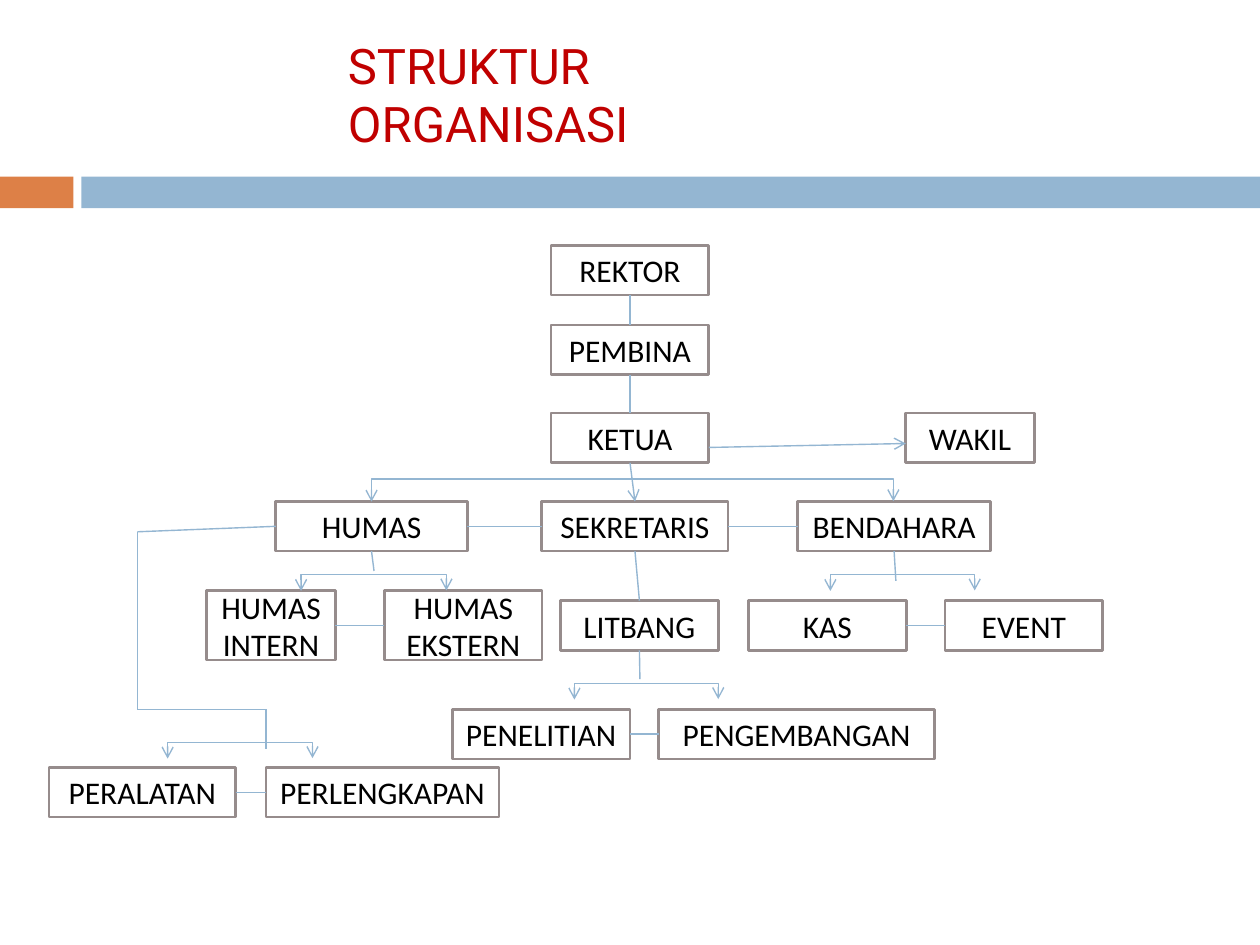
"""Build the organisation structure slide."""
import pptx
import pptx.util
import pptx.dml.color
import pptx.enum.shapes
import pptx.enum.text
import pptx.oxml.ns
import lxml.etree

Cm, Pt = pptx.util.Cm, pptx.util.Pt
RGB = pptx.dml.color.RGBColor
SHAPE = pptx.enum.shapes.MSO_SHAPE.RECTANGLE
LINE = pptx.enum.shapes.MSO_CONNECTOR
ALIGN = pptx.enum.text.PP_ALIGN
ANCHOR = pptx.enum.text.MSO_ANCHOR
qn = pptx.oxml.ns.qn

WHITE = RGB(0xFF, 0xFF, 0xFF)
BLACK = RGB(0, 0, 0)
RED = RGB(0xC0, 0, 0)
ORANGE = RGB(0xDD, 0x80, 0x47)
BLUE = RGB(0x94, 0xB6, 0xD2)
GREY = RGB(0x96, 0x8C, 0x8C)

TITLE = "STRUKTUR ORGANISASI"
BANDS = [(0, 1.48, ORANGE), (1.64, 23.76, BLUE)]
ROWS = [
    (4.95, 1, [("REKTOR", 11.11, 3.18)]),
    (6.55, 1, [("PEMBINA", 11.11, 3.18)]),
    (8.33, 1, [("KETUA", 11.11, 3.18), ("WAKIL", 18.26, 2.59)]),
    (10.11, 1, [("HUMAS", 5.56, 3.86), ("SEKRETARIS", 10.92, 3.76),
                ("BENDAHARA", 16.08, 3.89)]),
    (11.91, 1.4, [("HUMAS INTERN", 4.17, 2.59), ("HUMAS EKSTERN", 7.75, 3.18)]),
    (12.11, 1, [("LITBANG", 11.3, 3.18), ("KAS", 15.09, 3.18),
                ("EVENT", 19.05, 3.18)]),
    (14.3, 1, [("PENELITIAN", 9.12, 3.58), ("PENGEMBANGAN", 13.28, 5.56)]),
    (15.47, 1, [("PERALATAN", 0.99, 3.76), ("PERLENGKAPAN", 5.36, 4.7)]),
]
DOWN = [("REKTOR", "PEMBINA", False), ("PEMBINA", "KETUA", False),
        ("KETUA", "SEKRETARIS", True), ("SEKRETARIS", "LITBANG", False)]
ACROSS = [("HUMAS", "SEKRETARIS"), ("SEKRETARIS", "BENDAHARA"),
          ("HUMAS INTERN", "HUMAS EKSTERN"), ("KAS", "EVENT"),
          ("PENELITIAN", "PENGEMBANGAN"), ("PERALATAN", "PERLENGKAPAN")]
STUBS = [("HUMAS", 7.54, 11.51), ("BENDAHARA", 18.06, 11.71),
         ("LITBANG", 12.9, 13.69)]
SUPPLY_ROUTE = [(5.56, 10.61), (2.77, 10.72), (2.77, 14.3), (5.36, 14.3),
                (5.36, 15.09)]
FORKS = [(7.49, 18.01, 10.11, 0.46), (6.07, 9, 11.91, 0.33),
         (16.74, 19.65, 11.91, 0.33), (11.58, 14.48, 14.1, 0.33),
         (3.38, 6.3, 15.29, 0.33)]

prs = pptx.Presentation()
prs.slide_width, prs.slide_height = Cm(25.4), Cm(19.05)
s = prs.slides.add_slide(prs.slide_layouts[5])


def put_text(tf, text, align, anchor, **font):
    tf.word_wrap = True
    tf.vertical_anchor = anchor
    p = tf.paragraphs[0]
    p.alignment = align
    r = p.add_run()
    r.text = text
    r.font.color.rgb = font.pop("color")
    for key, value in font.items():
        setattr(r.font, key, value)


def add_rect(x, y, w, h, fill, line=None):
    sp = s.shapes.add_shape(SHAPE, Cm(x), Cm(y), Cm(w), Cm(h))
    sp.shadow.inherit = False
    sp.fill.solid()
    sp.fill.fore_color.rgb = fill
    if line is None:
        sp.line.fill.background()
    else:
        sp.line.color.rgb = line
        sp.line.width = Pt(1.5)
    return sp


def add_line(start, end, arrows=(), kind=LINE.STRAIGHT):
    cx = s.shapes.add_connector(kind, *(Cm(v) for v in (*start, *end)))
    cx.line.color.rgb = BLUE
    cx.line.width = Pt(0.79)
    ln = cx.line._get_or_add_ln()
    for tag in arrows:
        lxml.etree.SubElement(ln, qn(tag)).set("type", "arrow")
    lxml.etree.SubElement(cx._element.spPr, qn("a:effectLst"))
    return cx


def add_fork(x1, x2, y, rise):
    thin, mid, half = 0.01, (x1 + x2) / 2, (x2 - x1) / 2
    cx = add_line((mid - thin / 2, y - half), (mid + thin / 2, y + half),
                  ("a:headEnd", "a:tailEnd"), LINE.ELBOW)
    xfrm = cx._element.spPr.find(qn("a:xfrm"))
    for key, value in {"rot": "5400000", "flipH": "1", "flipV": "1"}.items():
        xfrm.set(key, value)
    guides = cx._element.spPr.find(qn("a:prstGeom")).get_or_add_avLst()
    gd = lxml.etree.SubElement(guides, qn("a:gd"))
    gd.set("name", "adj1")
    gd.set("fmla", f"val {round(rise / thin * 100000)}")


for x, w, color in BANDS:
    add_rect(x, 3.56, w, 0.64, color)

title = s.shapes.title
for key, value in dict(left=6.76, top=0.58, width=11.13, height=1.45).items():
    setattr(title, key, Cm(value))
title.text_frame.auto_size = pptx.enum.text.MSO_AUTO_SIZE.SHAPE_TO_FIT_TEXT
put_text(title.text_frame, TITLE, ALIGN.LEFT, ANCHOR.TOP,
         name="Roboto", size=Pt(28), color=RED)

boxes = {}
for y, h, cells in ROWS:
    for name, x, w in cells:
        boxes[name] = (x, y, w, h)
        sp = add_rect(x, y, w, h, WHITE, GREY)
        put_text(sp.text_frame, name, ALIGN.CENTER, ANCHOR.MIDDLE,
                 name="Calibri", size=Pt(18), color=BLACK)


def side(name, fx, fy):
    x, y, w, h = boxes[name]
    return x + w * fx, y + h * fy


for upper, lower, arrow in DOWN:
    add_line(side(upper, 0.5, 1), side(lower, 0.5, 0),
             ("a:tailEnd",) if arrow else ())
for left, right in ACROSS:
    add_line(side(left, 1, 0.5), side(right, 0, 0.5))
add_line(side("KETUA", 1, 0.69), side("WAKIL", 0, 0.61), ("a:tailEnd",))
for name, x, y in STUBS:
    add_line(side(name, 0.5, 1), (x, y))
for start, end in zip(SUPPLY_ROUTE, SUPPLY_ROUTE[1:]):
    add_line(start, end)
for fork in FORKS:
    add_fork(*fork)

prs.save("out.pptx")
